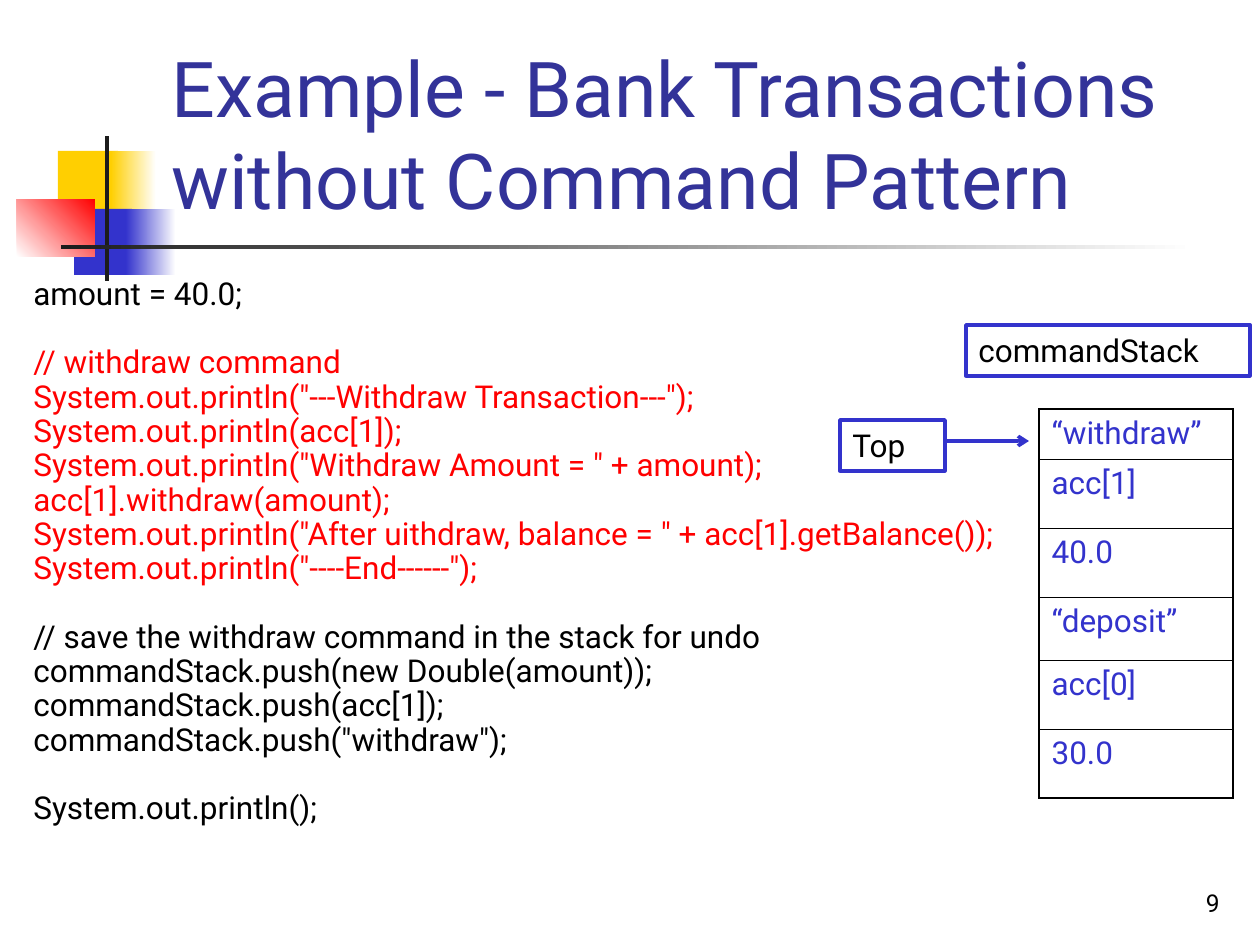
from pptx import Presentation
from pptx.dml.color import RGBColor
from pptx.enum.shapes import MSO_CONNECTOR, MSO_SHAPE
from pptx.enum.text import MSO_ANCHOR as Anchor, PP_ALIGN as Align
from pptx.oxml import parse_xml
from pptx.oxml.ns import nsdecls
from pptx.util import Pt

EMU_PER_PX = 914400 / 126


class Theme:
    font = "Roboto"
    black, charcoal, white = "000000", "1C1C1C", "FFFFFF"
    yellow, blue, red, navy = "FFCF01", "3333CC", "FF0000", "333399"
    title, body, number = 44, 18, 14


def px(*lengths):
    return [round(length * EMU_PER_PX) for length in lengths]


def write(frame, lines, size=Theme.body, color=Theme.black, align=Align.LEFT,
          anchor=Anchor.TOP, spacing=1.0, before=0, first_before=0, append=False):
    """Write one paragraph per line; append keeps the paragraphs already there."""
    frame.word_wrap = True
    frame.vertical_anchor = anchor
    for index, line in enumerate(lines):
        new = append or index > 0
        paragraph = frame.add_paragraph() if new else frame.paragraphs[0]
        paragraph.alignment = align
        paragraph.line_spacing = spacing
        paragraph.space_before = Pt(first_before if index == 0 else before)
        run = paragraph.add_run()
        run.text = line
        run.font.name = Theme.font
        run.font.size = Pt(size)
        run.font.color.rgb = RGBColor.from_string(color)


presentation = Presentation()
presentation.slide_width, presentation.slide_height = px(1260, 945)
slide = presentation.slides.add_slide(presentation.slide_layouts[6])
shapes = slide.shapes

# Corner ornament: box, colours (two make a gradient), gradient angle
ornament = [
    ((58, 151, 60, 66), [Theme.yellow], 0),
    ((111, 151, 45, 66), [Theme.yellow, Theme.white], 0),
    ((74, 209, 58, 66), [Theme.blue], 0),
    ((126, 209, 50, 66), [Theme.blue, Theme.white], 0),
    ((17, 199, 78, 58), [Theme.white, Theme.red], 45),
    ((105, 136, 4, 145), [Theme.charcoal], 0),
    ((61, 245, 1134, 4), [Theme.charcoal, Theme.white], 0),
]
for box, colors, angle in ornament:
    block = shapes.add_shape(MSO_SHAPE.RECTANGLE, *px(*box))
    block.shadow.inherit = False
    block.line.fill.background()
    if len(colors) == 1:
        block.fill.solid()
        block.fill.fore_color.rgb = RGBColor.from_string(colors[0])
    else:
        block.fill.gradient()
        block.fill.gradient_angle = angle
        for stop, color in zip(block.fill.gradient_stops, colors):
            stop.color.rgb = RGBColor.from_string(color)

page_number = shapes.add_textbox(*px(970, 861, 262, 63))
write(page_number.text_frame, ["9"], size=Theme.number, align=Align.RIGHT, anchor=Anchor.BOTTOM)

title = shapes.add_textbox(*px(159, 29, 1074, 202))
write(title.text_frame, ["Example - Bank Transactions without Command Pattern"],
      size=Theme.title, color=Theme.navy, anchor=Anchor.BOTTOM)

# Code listing, with a gap of one line between sections
code_sections = [
    (Theme.black, ["amount = 40.0;"]),
    (Theme.red, [
        "// withdraw command",
        'System.out.println("---Withdraw Transaction---");',
        "System.out.println(acc[1]);",
        'System.out.println("Withdraw Amount = " + amount);',
        "acc[1].withdraw(amount);",
        'System.out.println("After uithdraw, balance = " + acc[1].getBalance());',
        'System.out.println("----End------");',
    ]),
    (Theme.black, [
        "// save the withdraw command in the stack for undo",
        "commandStack.push(new Double(amount));",
        "commandStack.push(acc[1]);",
        'commandStack.push("withdraw");',
    ]),
    (Theme.black, ["System.out.println();"]),
]
code = shapes.add_textbox(*px(21, 278, 1182, 567))
for index, (color, lines) in enumerate(code_sections):
    write(code.text_frame, lines, color=color, spacing=0.7, before=4.5,
          first_before=24 if index else 4.5, append=index > 0)

# Command stack
entries = ["“withdraw”", "acc[1]", "40.0", "“deposit”", "acc[0]", "30.0"]
row_heights = [50, 69, 69, 63, 69, 69]
table = shapes.add_table(len(entries), 1, *px(1039, 409, 194, sum(row_heights))).table
table.first_row = table.horz_banding = False
last = len(entries) - 1
for index, (entry, height) in enumerate(zip(entries, row_heights)):
    table.rows[index].height = px(height)[0]
    cell = table.cell(index, 0)
    write(cell.text_frame, [entry], color=Theme.blue)
    borders = {"L": 1.08, "R": 1.08,
               "T": 1.08 if index == 0 else 0.45,
               "B": 1.08 if index == last else 0.45}
    for side, width in borders.items():
        cell._tc.get_or_add_tcPr().append(parse_xml(
            f'<a:ln{side} {nsdecls("a")} w="{Pt(width)}"><a:solidFill>'
            f'<a:srgbClr val="{Theme.black}"/></a:solidFill></a:ln{side}>'))
    cell.fill.background()

for label, box in [("commandStack", (966, 325, 284, 51)), ("Top", (840, 420, 105, 51))]:
    frame = shapes.add_shape(MSO_SHAPE.RECTANGLE, *px(*box))
    frame.shadow.inherit = False
    frame.fill.background()
    frame.line.color.rgb = RGBColor.from_string(Theme.blue)
    frame.line.width = Pt(2)
    write(frame.text_frame, [label])

arrow = shapes.add_connector(MSO_CONNECTOR.STRAIGHT, *px(945, 441, 1029, 441))
arrow.line.color.rgb = RGBColor.from_string(Theme.blue)
arrow.line.width = Pt(2)
arrow.line._get_or_add_ln().append(parse_xml(f'<a:tailEnd {nsdecls("a")} type="arrow"/>'))
arrow._element.spPr.append(parse_xml(f'<a:effectLst {nsdecls("a")}/>'))

presentation.save("out.pptx")
